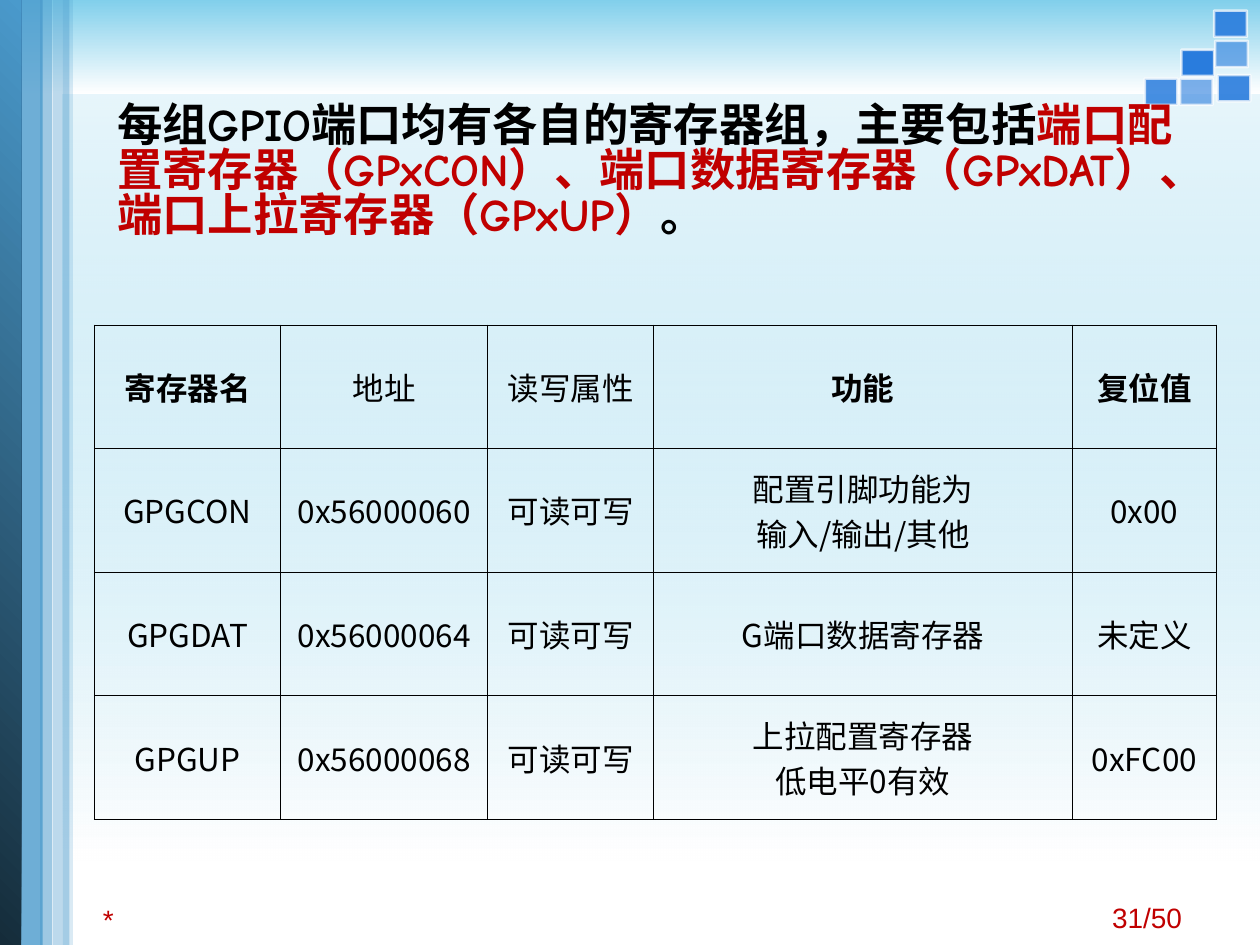
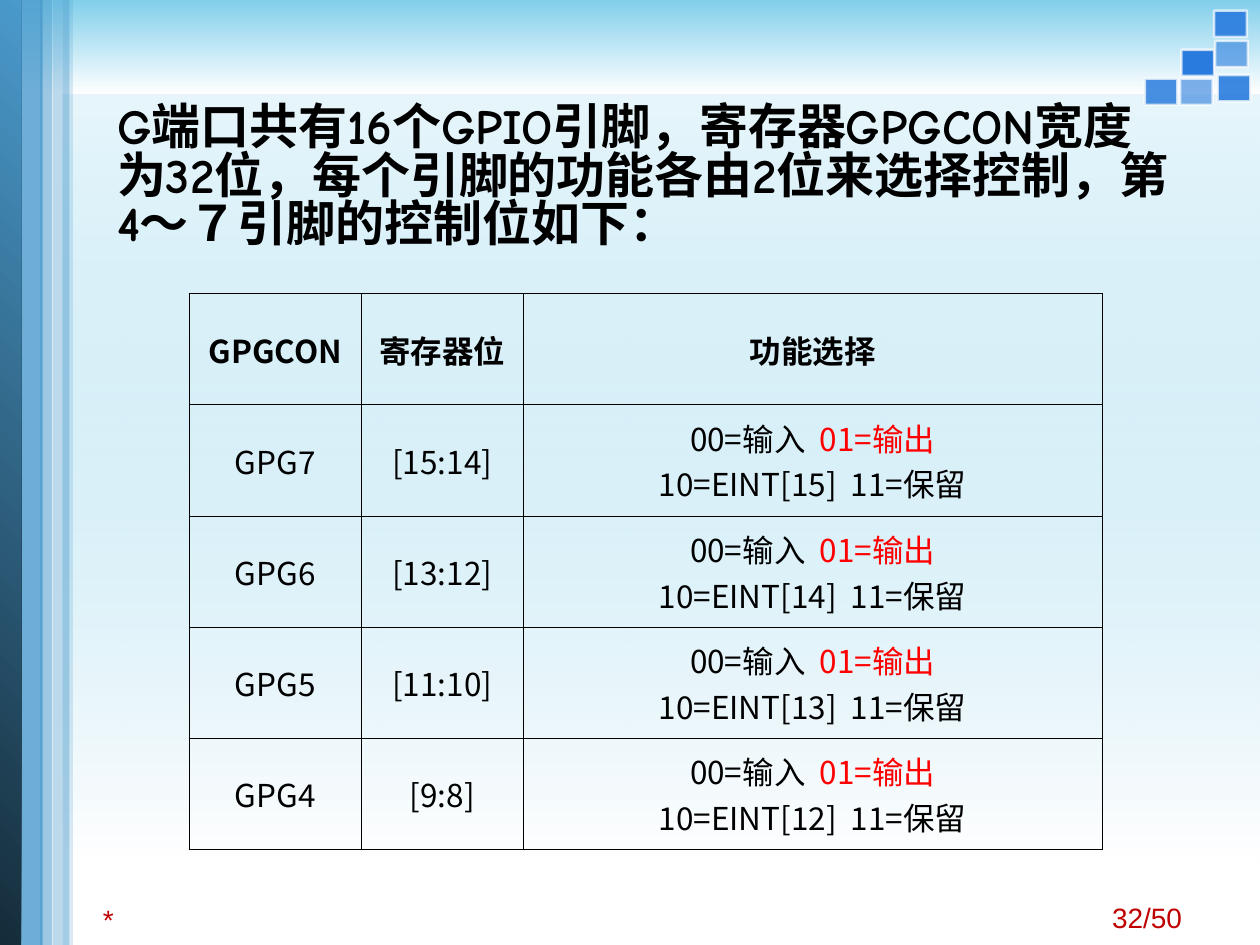
from lxml import etree
from pptx import Presentation
from pptx import util as u
from pptx.dml.color import RGBColor
from pptx.enum import shapes, text
from pptx.oxml import ns

COLORS = {
    "black": "000000", "white": "FFFFFF", "sky": "81CFEB", "steel": "4A9ACC",
    "navy": "152C3A", "tile": "297CDD", "crimson": "C00000", "red": "FF0000",
}
CJK_FONT = "Noto Sans CJK SC"
SLIDE_W, SLIDE_H = 25.4, 19.05
HEADER_H = 1.9
PAGE_COUNT = 50

TILE_W, TILE_H = 0.53, 0.66
TILES = [  # left, top, opacity
    (24.61, 1.45, 90), (23.85, 1.52, 60), (23.14, 1.52, 85),
    (23.88, 0.94, 100), (24.56, 0.76, 60), (24.54, 0.15, 90),
]
STRIPES = [(1.27, 0.2, 20), (0.81, 0.25, 54), (1.07, 0.33, 37)]  # left, width, opacity


def rgb(name):
    return RGBColor.from_string(COLORS[name])


def cm(*lengths):
    return [u.Cm(length) for length in lengths]


def set_opacity(shape, *percents):
    """Give the shape's colours, fill first and then line, these opacities."""
    for color, percent in zip(shape.element.spPr.iter(ns.qn("a:srgbClr")), percents):
        if percent < 100:
            etree.SubElement(color, ns.qn("a:alpha"), val=str(percent * 1000))


def add_rect(slide, box):
    rect = slide.shapes.add_shape(shapes.MSO_SHAPE.RECTANGLE, *cm(*box))
    rect.shadow.inherit = False
    rect.line.fill.background()
    return rect


def add_solid(slide, box, color, opacity):
    rect = add_rect(slide, box)
    rect.fill.solid()
    rect.fill.fore_color.rgb = rgb(color)
    set_opacity(rect, opacity)
    return rect


def add_gradient(slide, box, colors, angle, opacities=(100, 100)):
    rect = add_rect(slide, box)
    rect.fill.gradient()
    rect.fill.gradient_angle = angle
    for stop, color in zip(rect.fill.gradient_stops, colors):
        stop.color.rgb = rgb(color)
    set_opacity(rect, *opacities)


def write(frame, paragraphs, size, font=CJK_FONT, color="black", bold=False,
          align=text.PP_ALIGN.LEFT, spacing=None):
    """Fill a frame; each paragraph is a list of strings or (string, colour) runs."""
    frame.word_wrap = True
    for index, runs in enumerate(paragraphs):
        paragraph = frame.add_paragraph() if index else frame.paragraphs[0]
        paragraph.alignment = align
        paragraph.line_spacing = spacing
        for part in runs:
            words, run_color = part if isinstance(part, tuple) else (part, color)
            run = paragraph.add_run()
            run.text = words
            run.font.size = u.Pt(size)
            run.font.name = font
            run.font.bold = bold
            run.font.color.rgb = rgb(run_color)
            etree.SubElement(run.font._element, ns.qn("a:ea"), typeface=CJK_FONT)


def add_text(slide, box, paragraphs, top_inset=0.13, **style):
    frame = slide.shapes.add_textbox(*cm(*box)).text_frame
    frame.margin_top = u.Cm(top_inset)
    write(frame, paragraphs, **style)


def draw_background(slide):
    add_gradient(slide, (1.27, HEADER_H, SLIDE_W - 1.27, 15.44),
                 ("sky", "white"), 270, (19, 100))
    add_gradient(slide, (0, 0, SLIDE_W, HEADER_H), ("sky", "white"), 270)


def draw_tiles(slide):
    for left, top, opacity in TILES:
        tile = add_solid(slide, (left, top, TILE_W, TILE_H), "tile", opacity)
        tile.rotation = 90
        tile.line.color.rgb = rgb("white")
        tile.line.width = u.Pt(1.5)
        set_opacity(tile, 100, 70)


def draw_side_band(slide):
    add_solid(slide, (0.28, 0, 0.58, SLIDE_H), "steel", 80)
    add_gradient(slide, (0, 0, 0.43, SLIDE_H), ("navy", "steel"), 45)
    for left, width, opacity in STRIPES:
        add_solid(slide, (left, 0, width, SLIDE_H), "steel", opacity)


def draw_footer(slide, page):
    style = {"size": 16, "font": "Arial", "color": "crimson"}
    add_text(slide, (0, 18.06, 4.37, 0.79), [["*"]],
             align=text.PP_ALIGN.CENTER, **style)
    add_text(slide, (22.17, 18.03, 3.2, 0.94), [[f"{page}/{PAGE_COUNT}"]], **style)


def set_borders(cell):
    properties = cell._tc.get_or_add_tcPr()
    for index, side in enumerate(("a:lnL", "a:lnR", "a:lnT", "a:lnB")):
        border = etree.Element(ns.qn(side), w=str(u.Pt(0.45)))
        fill = etree.SubElement(border, ns.qn("a:solidFill"))
        etree.SubElement(fill, ns.qn("a:srgbClr"), val=COLORS["black"])
        properties.insert(index, border)


def draw_table(slide, left, top, widths, row_height, rows, bold_headings):
    box = cm(left, top, sum(widths), row_height * len(rows))
    table = slide.shapes.add_table(len(rows), len(widths), *box).table
    table.first_row = table.horz_banding = False
    for column, width in zip(table.columns, widths):
        column.width = u.Cm(width)
    for row_index, (row, contents) in enumerate(zip(table.rows, rows)):
        row.height = u.Cm(row_height)
        for cell, content in zip(row.cells, contents):
            cell.fill.background()
            cell.vertical_anchor = text.MSO_ANCHOR.MIDDLE
            paragraphs = [[content]] if isinstance(content, str) else content
            write(cell.text_frame, paragraphs, size=18, align=text.PP_ALIGN.CENTER,
                  bold=row_index == 0 and content in bold_headings)
            set_borders(cell)


def add_register_slide(deck, page, statement, statement_size, **table):
    slide = deck.slides.add_slide(deck.slide_layouts[6])
    draw_background(slide)
    draw_tiles(slide)
    draw_side_band(slide)
    draw_footer(slide, page)
    add_text(slide, (2.11, HEADER_H, 21.95, 4.01), [statement], top_inset=0.22,
             size=statement_size, font="Comic Neue", bold=True, spacing=0.83)
    draw_table(slide, **table)


def pin_row(pin):
    """Each pin takes two bits of GPGCON; pin n shares EINT[n + 8]."""
    return (f"GPG{pin}", f"[{2 * pin + 1}:{2 * pin}]",
            [["00=输入  ", ("01=输出", "red")], [f"10=EINT[{pin + 8}]  11=保留"]])


def main():
    deck = Presentation()
    deck.slide_width, deck.slide_height = cm(SLIDE_W, SLIDE_H)

    add_register_slide(
        deck, 31,
        ["每组GPIO端口均有各自的寄存器组，主要包括",
         ("端口配置寄存器（GPxCON）、端口数据寄存器（GPxDAT）、端口上拉寄存器（GPxUP）",
          "crimson"),
         "。"], 25.9,
        left=1.9, top=6.55, widths=(3.76, 4.17, 3.35, 8.43, 2.92), row_height=2.49,
        rows=[
            ("寄存器名", "地址", "读写属性", "功能", "复位值"),
            ("GPGCON", "0x56000060", "可读可写",
             [["配置引脚功能为"], ["输入/输出/其他"]], "0x00"),
            ("GPGDAT", "0x56000064", "可读可写", "G端口数据寄存器", "未定义"),
            ("GPGUP", "0x56000068", "可读可写",
             [["上拉配置寄存器"], ["低电平0有效"]], "0xFC00"),
        ],
        bold_headings=("寄存器名", "功能", "复位值"))

    pin_headings = ("GPGCON", "寄存器位", "功能选择")
    add_register_slide(
        deck, 32,
        ["G端口共有16个GPIO引脚，寄存器GPGCON宽度为32位，每个引脚的功能各由2位来选择控制，"
         "第4～７引脚的控制位如下："], 28,
        left=3.81, top=5.92, widths=(3.48, 3.25, 11.68), row_height=2.24,
        rows=[pin_headings, *map(pin_row, (7, 6, 5, 4))],
        bold_headings=pin_headings)

    deck.save("out.pptx")


if __name__ == "__main__":
    main()
